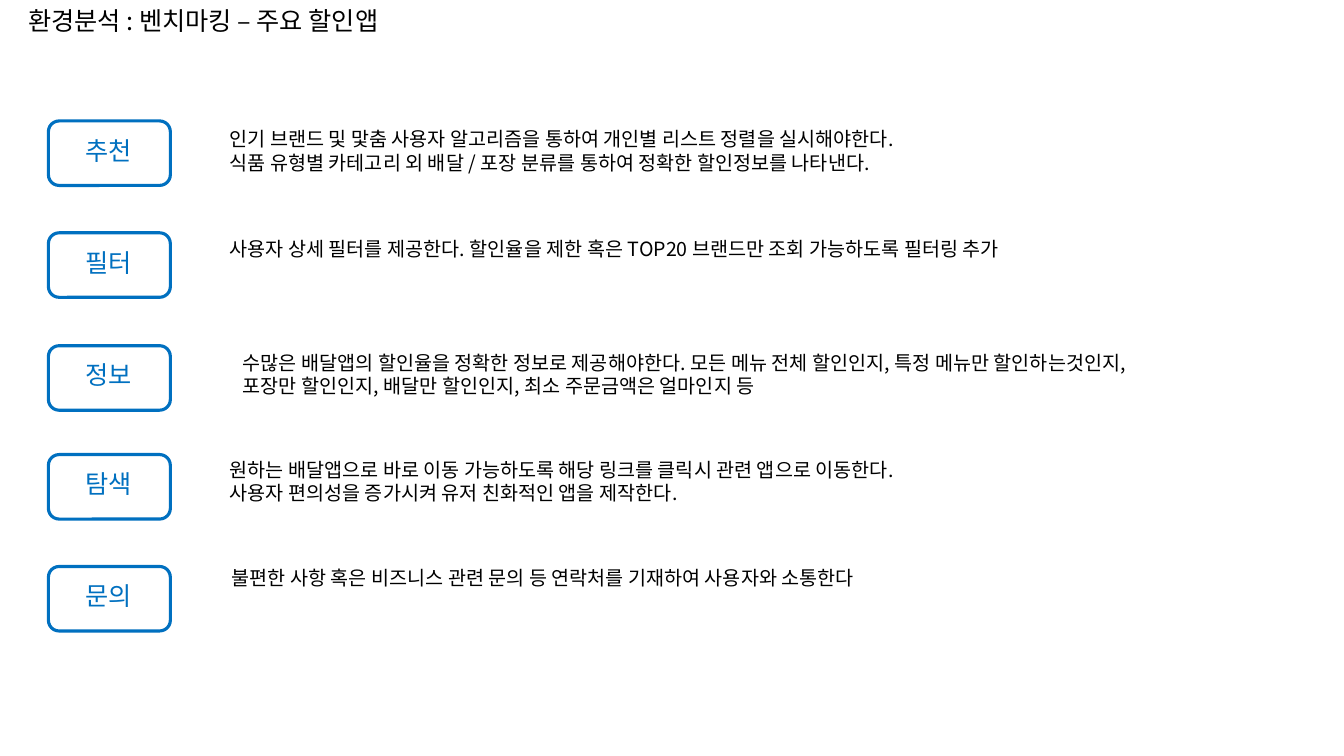
from copy import deepcopy

from lxml import etree
from pptx import Presentation
from pptx import util as u
from pptx.dml.color import RGBColor
from pptx.enum import shapes, text
from pptx.oxml import ns

BLACK = RGBColor(0x00, 0x00, 0x00)
BLUE = RGBColor(0x00, 0x70, 0xC0)
FONT = "Noto Sans CJK KR"

TOPICS = [
    ("추천", 1.2, (2.18, 1.21, 7.72, 0.57),
     "인기 브랜드 및 맟춤 사용자 알고리즘을 통하여 개인별 리스트 정렬을 실시해야한다.\n"
     "식품 유형별 카테고리 외 배달 / 포장 분류를 통하여 정확한 할인정보를 나타낸다."),
    ("필터", 2.31, (2.18, 2.3, 8.71, 0.34),
     "사용자 상세 필터를 제공한다. 할인율을 제한 혹은 TOP20 브랜드만 조회 가능하도록 필터링 추가"),
    ("정보", 3.43, (2.31, 3.43, 9.99, 0.57),
     "수많은 배달앱의 할인율을 정확한 정보로 제공해야한다. 모든 메뉴 전체 할인인지, 특정 메뉴만 할인하는것인지,\n"
     "포장만 할인인지, 배달만 할인인지, 최소 주문금액은 얼마인지 등"),
    ("탐색", 4.51, (2.18, 4.49, 7.67, 0.57),
     "원하는 배달앱으로 바로 이동 가능하도록 해당 링크를 클릭시 관련 앱으로 이동한다.\n"
     "사용자 편의성을 증가시켜 유저 친화적인 앱을 제작한다."),
    ("문의", 5.62, (2.2, 5.57, 7.21, 0.34),
     "불편한 사항 혹은 비즈니스 관련 문의 등 연락처를 기재하여 사용자와 소통한다"),
]


def write_text(para, words, *, size, color, font):
    para.text = words
    for span in para.runs:
        span.font.size = u.Pt(size)
        span.font.name = font
        span.font.color.rgb = color
        style = span.font._element
        etree.SubElement(style, ns.qn("a:ea"), typeface=font)
    for line_break in para._p.findall(ns.qn("a:br")):
        line_break.append(deepcopy(style))


class BenchmarkPage:
    def __init__(self, deck, font):
        self.page = deck.slides.add_slide(deck.slide_layouts[6])
        self.font = font

    def add_text(self, words, place, *, size, color=BLACK):
        box = self.page.shapes.add_textbox(*map(u.Inches, place))
        frame = box.text_frame
        frame.word_wrap = False
        frame.auto_size = text.MSO_AUTO_SIZE.SHAPE_TO_FIT_TEXT
        write_text(frame.paragraphs[0], words, size=size, color=color, font=self.font)

    def add_badge(self, label, top):
        place = map(u.Inches, (0.48, top, 1.21, 0.64))
        badge = self.page.shapes.add_shape(shapes.MSO_SHAPE.ROUNDED_RECTANGLE, *place)
        badge.shadow.inherit = False
        badge.fill.background()
        badge.line.color.rgb = BLUE
        badge.line.width = u.Pt(2.25)
        self.add_text(label, (0.75, top + 0.09, 0.71, 0.4), size=18, color=BLUE)


def main():
    deck = Presentation()
    deck.slide_width = u.Inches(13.33)
    deck.slide_height = u.Inches(7.5)
    page = BenchmarkPage(deck, FONT)
    page.add_text("환경분석 : 벤치마킹 – 주요 할인앱", (0.18, 0, 4.27, 0.4), size=18)
    for label, top, _, _ in TOPICS:
        page.add_badge(label, top)
    for _, _, place, description in TOPICS:
        page.add_text(description, place, size=14)
    deck.save("out.pptx")


if __name__ == "__main__":
    main()
